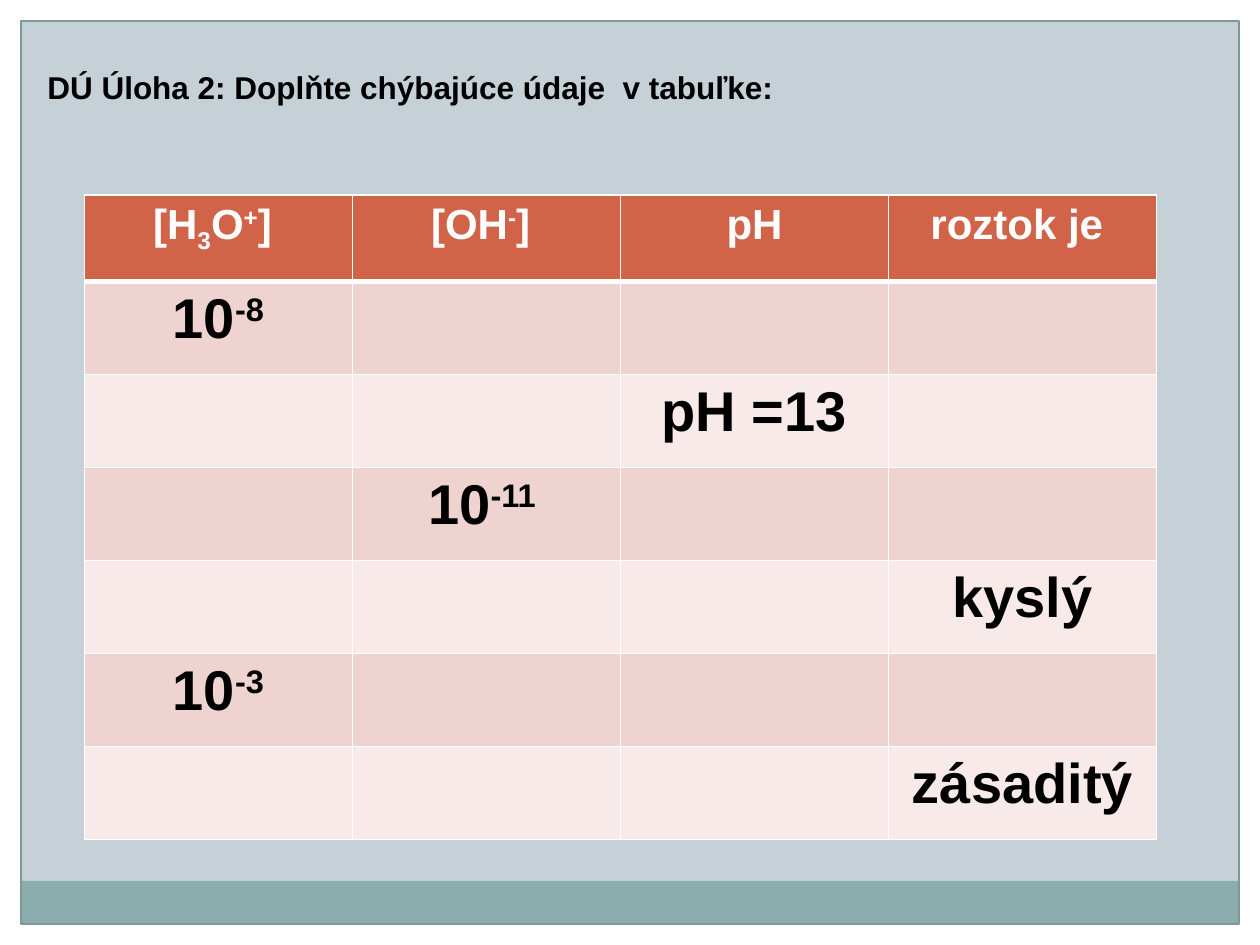
from pptx import Presentation
from pptx.dml.color import RGBColor
from pptx.enum.shapes import MSO_SHAPE as Shape
from pptx.enum.text import PP_ALIGN as Align
from pptx.oxml.ns import qn
from pptx.util import Pt
from lxml.etree import SubElement

W, H, EDGE = 720, 540, 12
WHITE, BLACK = "FFFFFF", "000000"
SUB, SUP = -25000, 30000

HEADER = [
    [("[H", 0), ("3", SUB), ("O", 0), ("+", SUP), ("] ", 0)],
    [("[OH", 0), ("-", SUP), ("] ", 0)],
    [("pH", 0)],
    [("roztok je ", 0)],
]
# One given value per row: its column and its runs
GIVEN = [
    (0, [("10", 0), ("-8", SUP)]),
    (2, [("pH =13", 0)]),
    (1, [("10", 0), ("-11 ", SUP)]),
    (3, [("kyslý", 0)]),
    (0, [("10", 0), ("-3", SUP)]),
    (3, [("zásaditý", 0)]),
]


def rgb(color):
    return RGBColor.from_string(color)


def add_rect(slide, x, y, w, h, fill=None, line=None):
    s = slide.shapes.add_shape(Shape.RECTANGLE, Pt(x), Pt(y), Pt(w), Pt(h))
    s.shadow.inherit = False
    if fill:
        s.fill.solid()
        s.fill.fore_color.rgb = rgb(fill)
    else:
        s.fill.background()
    if line:
        s.line.color.rgb = rgb(line)
        s.line.width = Pt(0.75)
    else:
        s.line.fill.background()


def write(p, runs, size, color):
    for text, baseline in runs:
        r = p.add_run()
        r.text = text
        if baseline:
            r._r.get_or_add_rPr().set("baseline", str(baseline))
    p.font.name = "Arial"
    p.font.size = Pt(size)
    p.font.bold = True
    p.font.color.rgb = rgb(color)


def add_title(slide, text):
    tf = slide.shapes.add_textbox(Pt(20), Pt(35.5), Pt(584), Pt(29)).text_frame
    tf.word_wrap = True
    write(tf.paragraphs[0], [(text, 0)], 18, BLACK)


def style_cell(cell, fill, top=1, bottom=1):
    tc_pr = cell._tc.get_or_add_tcPr()
    for side, width in (("L", 1), ("R", 1), ("T", top), ("B", bottom)):
        ln = SubElement(tc_pr, qn(f"a:ln{side}"), w=str(Pt(width)))
        SubElement(SubElement(ln, qn("a:solidFill")), qn("a:srgbClr"), val=WHITE)
    cell.fill.solid()
    cell.fill.fore_color.rgb = rgb(fill)


def fill_cell(cell, runs, size, color):
    p = cell.text_frame.paragraphs[0]
    p.alignment = Align.CENTER
    write(p, runs, size, color)


def add_ph_table(slide):
    head_h, row_h, col_w = 49.4, 53.2, 153.2
    rows, cols = len(GIVEN) + 1, len(HEADER)
    table = slide.shapes.add_table(
        rows, cols, Pt(48.2), Pt(111.4),
        Pt(cols * col_w), Pt(head_h + len(GIVEN) * row_h)).table
    for col in table.columns:
        col.width = Pt(col_w)
    for i, row in enumerate(table.rows):
        row.height = Pt(row_h if i else head_h)

    # Header row with a thick rule below
    for c, runs in enumerate(HEADER):
        style_cell(table.cell(0, c), "D16349", bottom=3)
        fill_cell(table.cell(0, c), runs, 24, WHITE)

    # Banded body rows
    for i, (given_col, runs) in enumerate(GIVEN, 1):
        for c in range(cols):
            style_cell(table.cell(i, c), "EED3D0" if i % 2 else "F7EAE9",
                       top=3 if i == 1 else 1)
        fill_cell(table.cell(i, given_col), runs, 32, BLACK)


def main():
    prs = Presentation()
    prs.slide_width, prs.slide_height = Pt(W), Pt(H)
    slide = prs.slides.add_slide(prs.slide_layouts[6])
    bg = slide.background.fill
    bg.solid()
    bg.fore_color.rgb = rgb("C5D1D7")

    # White margins, footer band and frame
    add_rect(slide, 0, H - EDGE, W, EDGE, WHITE)
    add_rect(slide, 0, 0, W, EDGE, WHITE)
    add_rect(slide, W - EDGE, 0, EDGE, H, WHITE)
    add_rect(slide, 0, 0, EDGE, H, WHITE)
    add_rect(slide, EDGE, 503.4, W - 2 * EDGE, 24.4, "8CADAE")
    add_rect(slide, EDGE, EDGE, W - 2 * EDGE, H - 2 * EDGE, line="7C999A")

    add_title(slide, "DÚ Úloha 2: Doplňte chýbajúce údaje  v tabuľke:")
    add_ph_table(slide)
    prs.save("out.pptx")


if __name__ == "__main__":
    main()
